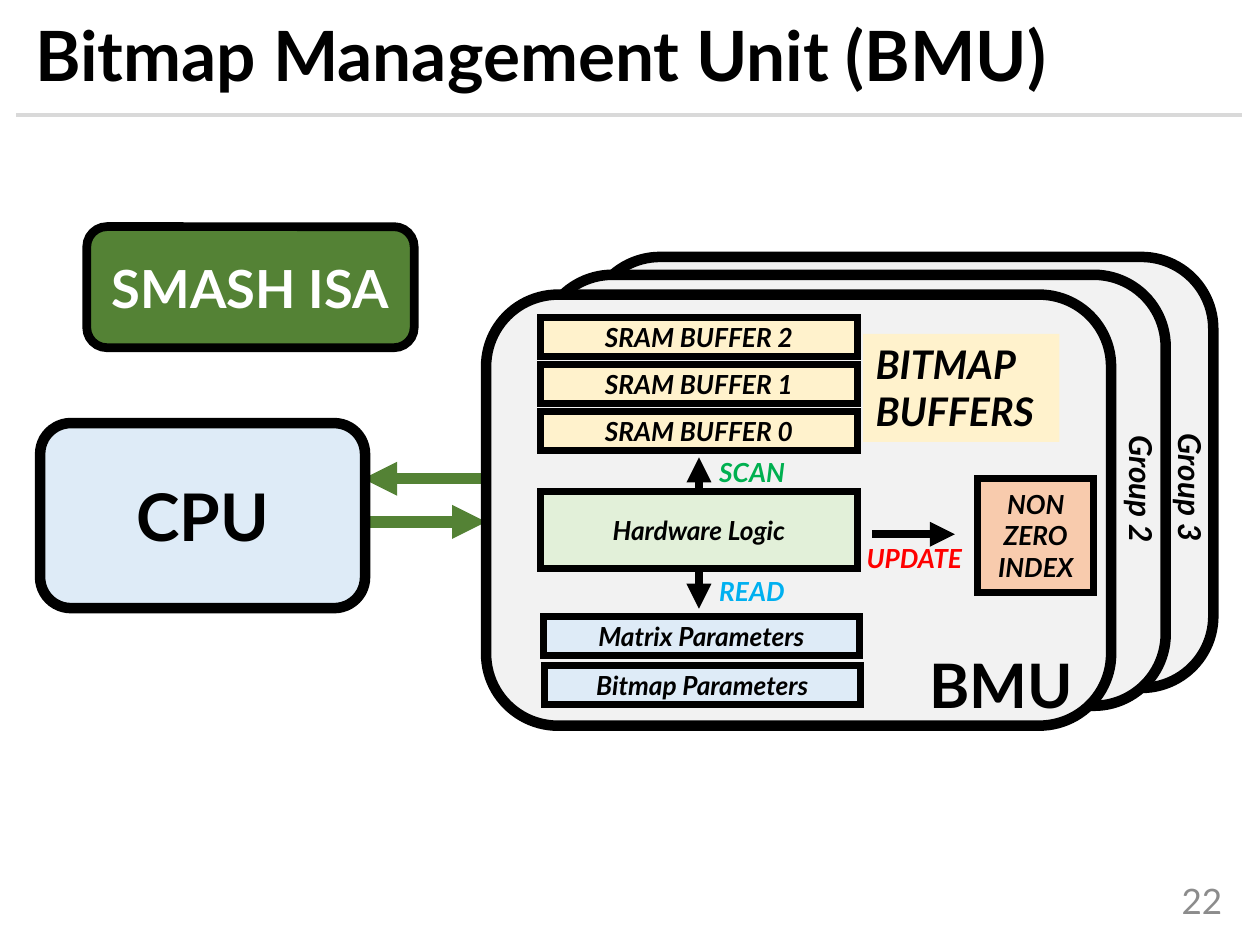
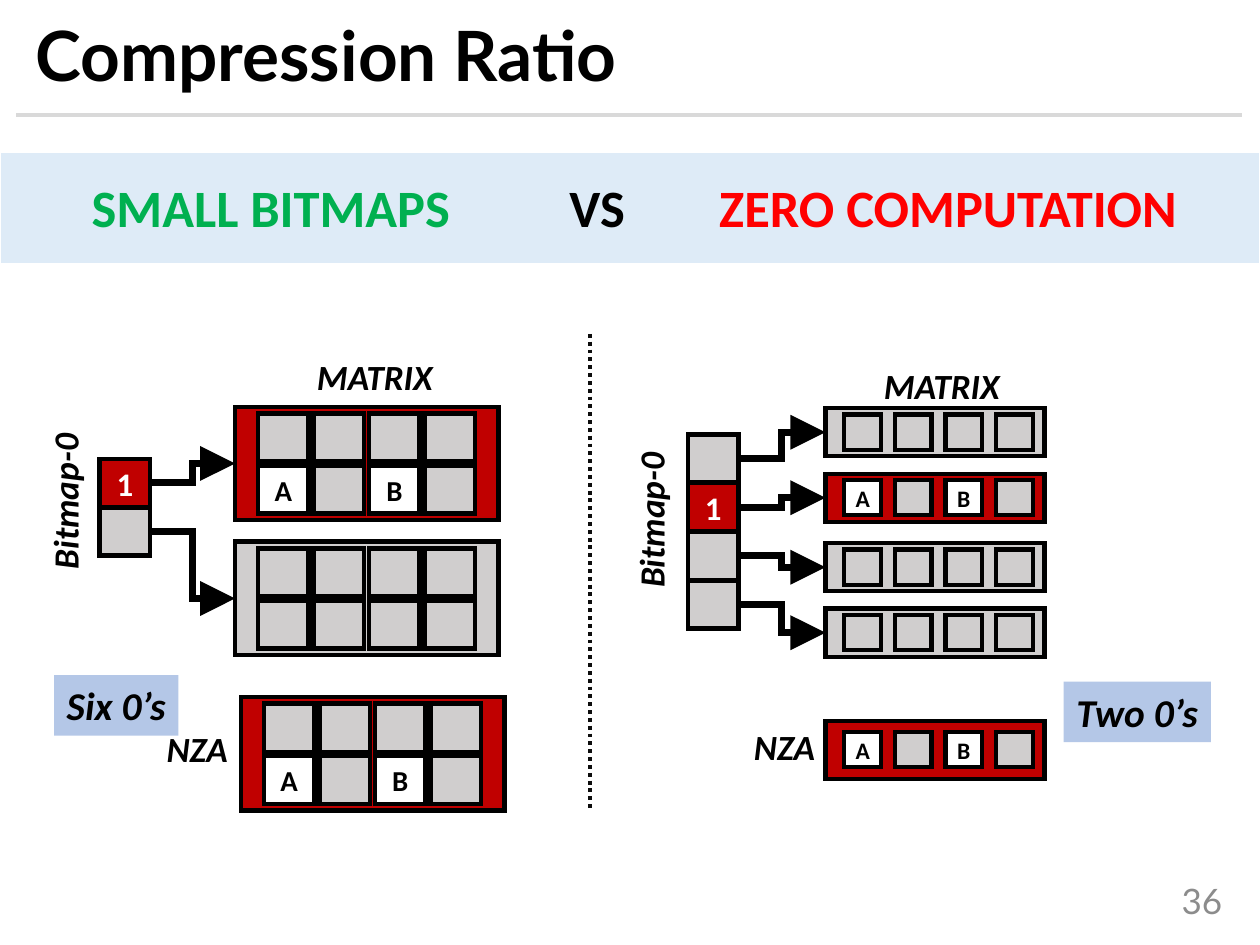
from dataclasses import dataclass

from lxml import etree
from pptx import Presentation
from pptx.dml.color import RGBColor
from pptx.enum.dml import MSO_LINE
from pptx.enum.shapes import MSO_CONNECTOR, MSO_SHAPE
from pptx.enum.text import MSO_ANCHOR, PP_ALIGN
from pptx.oxml.ns import qn
from pptx.util import Cm, Pt

RECTANGLE, ROUNDED = MSO_SHAPE.RECTANGLE, MSO_SHAPE.ROUNDED_RECTANGLE
STRAIGHT, ELBOW = MSO_CONNECTOR.STRAIGHT, MSO_CONNECTOR.ELBOW
LEFT, CENTER, RIGHT = PP_ALIGN.LEFT, PP_ALIGN.CENTER, PP_ALIGN.RIGHT
MIDDLE, DOTTED = MSO_ANCHOR.MIDDLE, MSO_LINE.ROUND_DOT
TOP_SIDE, LEFT_SIDE, BOTTOM_SIDE, RIGHT_SIDE = range(4)
MEDIUM_HEAD, LARGE_HEAD = "med", "lg"

BLACK = RGBColor(0x00, 0x00, 0x00)
WHITE = RGBColor(0xFF, 0xFF, 0xFF)
PAGE_GREY = RGBColor(0x8C, 0x8C, 0x8C)
RULE_GREY = RGBColor(0xD9, 0xD9, 0xD9)
PANEL_GREY = RGBColor(0xF2, 0xF2, 0xF2)
CELL_GREY = RGBColor(0xD0, 0xCE, 0xCE)
DIVIDER = RGBColor(0x0D, 0x0D, 0x0D)
DARK_GREEN = RGBColor(0x54, 0x82, 0x35)
PALE_GREEN = RGBColor(0xE2, 0xF0, 0xD9)
PALE_BLUE = RGBColor(0xDE, 0xEB, 0xF7)
TAG_BLUE = RGBColor(0xB4, 0xC7, 0xE7)
CREAM = RGBColor(0xFF, 0xF2, 0xCC)
PEACH = RGBColor(0xF8, 0xCB, 0xAD)
DARK_RED = RGBColor(0xC0, 0x00, 0x00)
GREEN = RGBColor(0x00, 0xB0, 0x50)
BLUE = RGBColor(0x00, 0xB0, 0xF0)
RED = RGBColor(0xFF, 0x00, 0x00)

LATO, CALIBRI = "Lato", "Calibri"


@dataclass
class TextStyle:
    size: float
    font: str = LATO
    color: RGBColor = BLACK
    bold: bool = True
    italic: bool = False
    align: int = CENTER


@dataclass
class CellGrid:
    """Sizes of a block of matrix cells, in centimetres."""
    block_width: float
    cell_width: float
    cell_height: float
    pitch_x: float
    pitch_y: float
    indent: float
    letter_size: float


WIDE_GRID = CellGrid(5.31, 1.02, 0.97, 1.12, 1.05, 0.46, 16.5)
NARROW_GRID = CellGrid(4.42, 0.74, 0.71, 1.02, 0, 0.38, 13.5)
EMPTY_ROW = ("", "", "", "")
VALUE_ROW = ("A", "", "B", "")

BOX_TEXT = TextStyle(15, italic=True)
GROUP_TEXT = TextStyle(18, italic=True)
MATRIX_TEXT = TextStyle(20.2, CALIBRI, italic=True)
TAG_TEXT = TextStyle(22.5, CALIBRI, italic=True)


def style_run(run, style, color=None):
    run.font.name = style.font
    run.font.size = Pt(style.size)
    run.font.bold = style.bold
    run.font.italic = style.italic
    run.font.color.rgb = color or style.color


def set_text(text_frame, text, style):
    text_frame.text = text
    for paragraph in text_frame.paragraphs:
        paragraph.alignment = style.align
        for run in paragraph.runs:
            style_run(run, style)


def format_line(line, color, width, head=None, dash=None):
    """Set a line with sharp corners and, if asked, an arrowhead at its end."""
    line.color.rgb = color
    line.width = Pt(width)
    if dash:
        line.dash_style = dash
    properties = line.color._xFill.getparent()
    etree.SubElement(properties, qn("a:miter"), lim="800000")
    if head:
        etree.SubElement(properties, qn("a:tailEnd"), type="triangle", w=head, len=head)


def add_box(slide, left, top, width, height, fill, line_width, text="",
            style=BOX_TEXT, kind=RECTANGLE, line_color=BLACK):
    box = slide.shapes.add_shape(kind, Cm(left), Cm(top), Cm(width), Cm(height))
    box.shadow.inherit = False
    box.fill.solid()
    box.fill.fore_color.rgb = fill
    format_line(box.line, line_color, line_width)
    if text:
        frame = box.text_frame
        frame.margin_left = frame.margin_right = 0
        frame.margin_top = frame.margin_bottom = 0
        frame.word_wrap = True
        frame.vertical_anchor = MIDDLE
        set_text(frame, text, style)
    return box


def add_label(slide, left, top, width, height, text, style, fill=None,
              rotation=0, wrap=False):
    label = slide.shapes.add_textbox(Cm(left), Cm(top), Cm(width), Cm(height))
    label.rotation = rotation
    label.text_frame.word_wrap = wrap
    if fill:
        label.fill.solid()
        label.fill.fore_color.rgb = fill
    set_text(label.text_frame, text, style)
    return label


def add_line(slide, start, end, color, width, kind=STRAIGHT, head=None, dash=None):
    line = slide.shapes.add_connector(
        kind, Cm(start[0]), Cm(start[1]), Cm(end[0]), Cm(end[1]))
    format_line(line.line, color, width, head, dash)
    etree.SubElement(line._element.spPr, qn("a:effectLst"))
    return line


def add_arrow(slide, start, end, color=BLACK, width=4.75):
    return add_line(slide, start, end, color, width, head=MEDIUM_HEAD)


def start_slide(presentation, title, page_number):
    """Add a slide with the shared title, rule and page number."""
    slide = presentation.slides.add_slide(presentation.slide_layouts[5])
    heading = slide.shapes.title
    heading.left, heading.top = Cm(0.46), Cm(0.36)
    heading.width, heading.height = Cm(24.71), Cm(1.68)
    heading.text_frame.vertical_anchor = MIDDLE
    set_text(heading.text_frame, title, TextStyle(39.6, align=LEFT))
    heading.text_frame.paragraphs[0].line_spacing = 0.9
    add_line(slide, (0.33, 2.31), (25.04, 2.31), RULE_GREY, 2.25)
    number = add_label(slide, 22.15, 17.65, 2.74, 1.02, page_number,
                       TextStyle(20, color=PAGE_GREY, bold=False, align=RIGHT), wrap=True)
    number.text_frame.vertical_anchor = MIDDLE
    return slide


def build_bmu_slide(presentation):
    slide = start_slide(presentation, "Bitmap Management Unit (BMU)", "22")
    add_arrow(slide, (7.37, 10.52), (9.8, 10.52), DARK_GREEN, 6.5)
    add_arrow(slide, (9.73, 9.65), (7.32, 9.65), DARK_GREEN, 6.5)
    for left, top in ((11.86, 5.18), (10.9, 5.54), (9.8, 5.94)):
        add_box(slide, left, top, 12.6, 8.69, PANEL_GREY, 6, kind=ROUNDED)

    for index, number in enumerate((2, 1, 0)):
        add_box(slide, 10.9, 6.4 + 0.95 * index, 6.38, 0.79, CREAM, 4,
                f"SRAM BUFFER {number}")
    add_box(slide, 10.95, 12.42, 6.38, 0.79, PALE_BLUE, 4, "Matrix Parameters")
    add_box(slide, 10.97, 13.41, 6.38, 0.79, PALE_BLUE, 4, "Bitmap Parameters")
    logic = add_box(slide, 10.9, 9.91, 6.38, 1.55, PALE_GREEN, 4, "Hardware Logic")
    add_box(slide, 19.71, 9.65, 2.34, 2.29, PEACH, 4, "NON ZERO INDEX")

    scan = add_arrow(slide, (14.09, 9.91), (14.09, 9.22))
    scan.begin_connect(logic, TOP_SIDE)
    read = add_arrow(slide, (14.09, 11.46), (14.09, 12.27))
    read.begin_connect(logic, BOTTOM_SIDE)
    add_arrow(slide, (17.58, 10.77), (19.25, 10.77))
    for left, top, text, color in ((14.25, 9.07, "SCAN", GREEN),
                                   (14.25, 11.48, "READ", BLUE),
                                   (17.22, 10.8, "UPDATE", RED)):
        add_label(slide, left, top, 2.8, 0.89, text,
                  TextStyle(15, color=color, italic=True, align=LEFT), wrap=True)

    add_label(slide, 21.41, 9.35, 3.2, 1.02, "Group 2", GROUP_TEXT, rotation=90)
    add_label(slide, 22.4, 9.32, 3.2, 1.02, "Group 3", GROUP_TEXT, rotation=90)
    add_label(slide, 17.4, 6.73, 3.96, 2.18, "BITMAP\nBUFFERS",
              TextStyle(22.5, italic=True, align=LEFT), CREAM, wrap=True)
    add_label(slide, 18.49, 12.93, 3.4, 1.75, "BMU", TextStyle(35))
    add_box(slide, 0.81, 8.53, 6.55, 3.73, PALE_BLUE, 6, "CPU",
            TextStyle(37.5), ROUNDED)
    add_box(slide, 1.75, 4.57, 6.6, 2.44, DARK_GREEN, 5, "SMASH ISA",
            TextStyle(30, color=WHITE), ROUNDED)


def add_block(slide, left, top, height, grid, rows):
    """Add a block of cells, red if any cell holds a value; return its frame."""
    fill = DARK_RED if any(map(any, rows)) else CELL_GREY
    frame = add_box(slide, left, top, grid.block_width, height, fill, 2.5)
    cells_height = grid.pitch_y * (len(rows) - 1) + grid.cell_height
    first_top = top + (height - cells_height) / 2
    for row, letters in enumerate(rows):
        for column, letter in enumerate(letters):
            add_box(slide, left + grid.indent + grid.pitch_x * column,
                    first_top + grid.pitch_y * row, grid.cell_width, grid.cell_height,
                    WHITE if letter else CELL_GREY, 2.5, letter,
                    TextStyle(grid.letter_size, CALIBRI))
    return frame


def add_bitmap(slide, left, top, bits, blocks):
    """Add a column of bits, each with an arrow to its matrix block."""
    for index, (bit, block) in enumerate(zip(bits, blocks)):
        cell = add_box(slide, left, top + 0.98 * index, 1.02, 0.97,
                       DARK_RED if bit else CELL_GREY, 2.5, bit,
                       TextStyle(18.8, CALIBRI, WHITE))
        arrow = add_line(slide, (left, top), (left + 1, top + 1), BLACK, 4,
                         ELBOW, LARGE_HEAD)
        arrow.begin_connect(cell, RIGHT_SIDE)
        arrow.end_connect(block, LEFT_SIDE)


def add_comparison_band(slide):
    add_box(slide, 0, 3.07, 25.4, 2.26, PALE_BLUE, 1, line_color=WHITE)
    style = TextStyle(30, CALIBRI, align=LEFT)
    band = add_label(slide, 1.6, 3.4, 22.94, 1.55, "", style, wrap=True)
    paragraph = band.text_frame.paragraphs[0]
    tabs = etree.SubElement(paragraph._p.get_or_add_pPr(), qn("a:tabLst"))
    for position in (9.63, 12.65):
        etree.SubElement(tabs, qn("a:tab"), pos=str(Cm(position)), algn="l")
    for text, color in (("SMALL BITMAPS\t", GREEN), ("VS\t", BLACK),
                        ("ZERO COMPUTATION", RED)):
        run = paragraph.add_run()
        run.text = text
        style_run(run, style, color)


def build_compression_slide(presentation):
    slide = start_slide(presentation, "Compression Ratio", "36")
    add_comparison_band(slide)
    add_line(slide, (11.89, 6.73), (11.89, 16.33), DIVIDER, 2.25, dash=DOTTED)

    value_rows, empty_rows = (EMPTY_ROW, VALUE_ROW), (EMPTY_ROW, EMPTY_ROW)
    wide_blocks = [add_block(slide, 4.74, top, 2.29, WIDE_GRID, rows)
                   for top, rows in ((8.2, value_rows), (10.92, empty_rows))]
    add_block(slide, 4.86, 14.05, 2.29, WIDE_GRID, value_rows)
    add_bitmap(slide, 2.01, 9.25, ("1", ""), wide_blocks)

    narrow_blocks = [add_block(slide, 16.64, top, 0.97, NARROW_GRID, [row])
                     for top, row in ((8.23, EMPTY_ROW), (9.55, VALUE_ROW),
                                      (10.95, EMPTY_ROW), (12.27, EMPTY_ROW))]
    add_block(slide, 16.64, 14.53, 1.17, NARROW_GRID, [VALUE_ROW])
    add_bitmap(slide, 13.87, 8.76, ("", "1", "", ""), narrow_blocks)

    for left, top, width, text, rotation in (
            (6.12, 7.04, 2.87, "MATRIX", 0), (17.55, 7.21, 2.87, "MATRIX", 0),
            (-0.33, 9.55, 3.28, "Bitmap-0", 270), (11.48, 9.93, 3.28, "Bitmap-0", 270),
            (3.1, 14.53, 1.75, "NZA", 0), (14.94, 14.5, 1.75, "NZA", 0)):
        add_label(slide, left, top, width, 1.12, text, MATRIX_TEXT, rotation=rotation)
    add_label(slide, 1.09, 13.61, 2.51, 1.22, "Six 0’s", TAG_TEXT, TAG_BLUE)
    add_label(slide, 21.44, 13.74, 2.97, 1.22, "Two 0’s", TAG_TEXT, TAG_BLUE)


def main():
    presentation = Presentation()
    presentation.slide_width, presentation.slide_height = Cm(25.4), Cm(19.05)
    build_bmu_slide(presentation)
    build_compression_slide(presentation)
    presentation.save("out.pptx")


if __name__ == "__main__":
    main()
